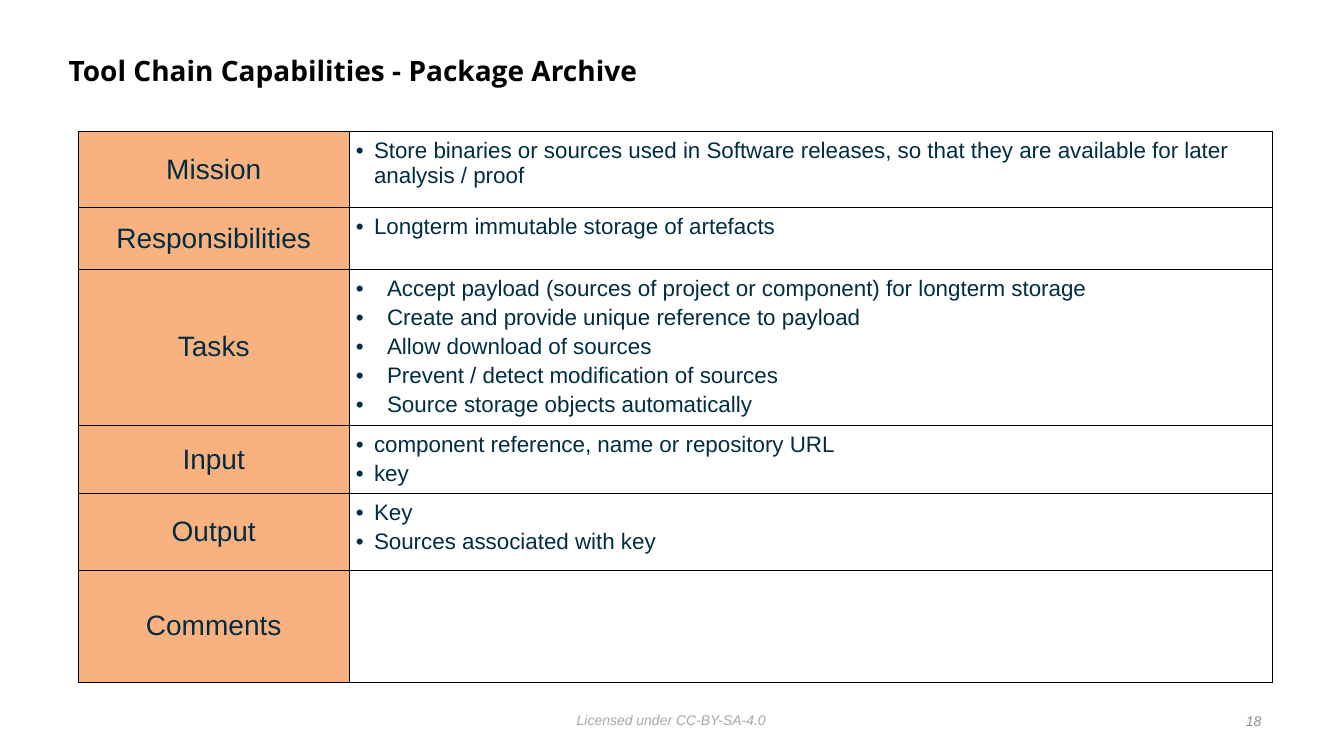
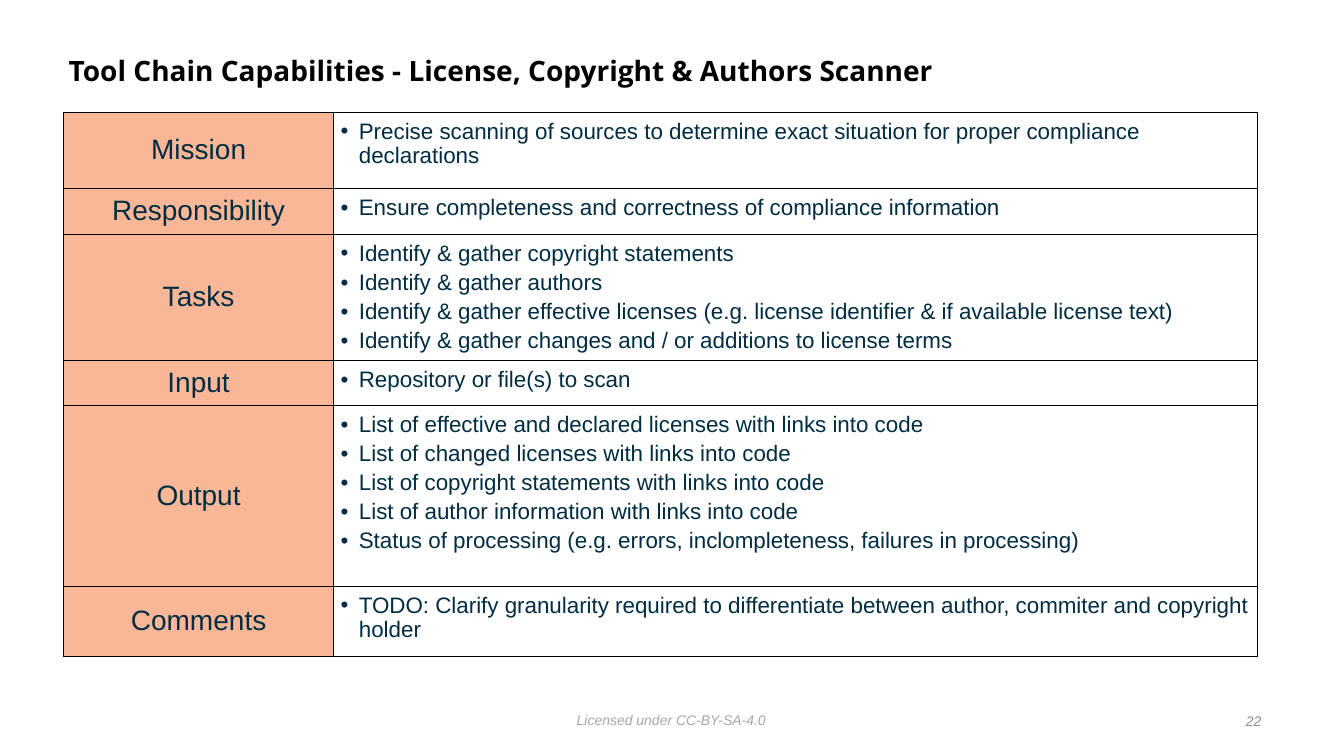
from lxml.etree import SubElement
from pptx import Presentation
from pptx.dml.color import RGBColor
from pptx.enum.text import MSO_ANCHOR, MSO_AUTO_SIZE, PP_ALIGN
from pptx.oxml.ns import qn
from pptx.util import Inches, Pt

COLORS = {
    "title": "000000",
    "text": "002D41",
    "border": "000000",
    "orange": "F66503",
    "peach": "FAB798",
    "footer": "A7A7A7",
    "number": "888C91",
}
TITLE_FONT = {"name": "Open Sans", "size": Pt(20), "bold": True}
LABEL_FONT = {"name": "Arial", "size": Pt(20)}
BULLET_FONT = {"name": "Arial", "size": Pt(16)}
FOOTER_FONT = {"name": "Arial", "size": Pt(10), "italic": True}
COLUMN_WIDTHS = (2.68, 9.16)
HANGING = 0.18
WIDE_HANGING = 0.31

# Each row: label, height, bullet indent, bullets
SLIDES = [
    {
        "title": "Tool Chain Capabilities - Package Archive",
        "number": "18",
        "position": (0.78, 1.3),
        "label_fill": ("orange", 50),
        "rows": [
            ("Mission", 0.76, HANGING, [
                "Store binaries or sources used in Software releases, so that "
                "they are available for later analysis / proof"]),
            ("Responsibilities", 0.61, HANGING, [
                "Longterm immutable storage of artefacts"]),
            ("Tasks", 1.55, WIDE_HANGING, [
                "Accept payload (sources of project or component) for longterm storage",
                "Create and provide unique reference to payload",
                "Allow download of sources",
                "Prevent / detect modification of sources",
                "Source storage objects automatically"]),
            ("Input", 0.67, HANGING, [
                "component reference, name or repository URL",
                "key"]),
            ("Output", 0.76, HANGING, [
                "Key",
                "Sources associated with key"]),
            ("Comments", 1.11, HANGING, []),
        ],
    },
    {
        "title": "Tool Chain Capabilities - License, Copyright & Authors Scanner",
        "number": "22",
        "position": (0.63, 1.11),
        "label_fill": ("peach", 100),
        "rows": [
            ("Mission", 0.76, HANGING, [
                "Precise scanning of sources to determine exact situation for "
                "proper compliance declarations"]),
            ("Responsibility", 0.45, HANGING, [
                "Ensure completeness and correctness of compliance information"]),
            ("Tasks", 1.25, HANGING, [
                "Identify & gather copyright statements",
                "Identify & gather authors",
                "Identify & gather effective licenses (e.g. license identifier "
                "& if available license text)",
                "Identify & gather changes and / or additions to license terms"]),
            ("Input", 0.45, HANGING, ["Repository or file(s) to scan"]),
            ("Output", 1.79, HANGING, [
                "List of effective and declared licenses with links into code",
                "List of changed licenses with links into code",
                "List of copyright statements with links into code",
                "List of author information with links into code",
                "Status of processing (e.g. errors, inclompleteness, failures "
                "in processing)"]),
            ("Comments", 0.7, HANGING, [
                "TODO: Clarify granularity required to differentiate between "
                "author, commiter and copyright holder"]),
        ],
    },
]


def apply_format(target, values):
    for name, value in values.items():
        setattr(target, name, value)


def format_font(paragraph, values, color):
    apply_format(paragraph.font, values)
    paragraph.font.color.rgb = RGBColor.from_string(COLORS[color])


def set_margins(target, inches):
    sides = ("margin_left", "margin_top", "margin_right", "margin_bottom")
    apply_format(target, dict.fromkeys(sides, Inches(inches)))


# Title and footer
def add_title(slide, text):
    title = slide.shapes.title
    apply_format(title, {"left": Inches(0.63), "top": Inches(0.39),
                         "width": Inches(10.75), "height": Inches(0.65)})
    frame = title.text_frame
    set_margins(frame, 0.05)
    apply_format(frame, {"text": text, "word_wrap": True,
                         "auto_size": MSO_AUTO_SIZE.NONE,
                         "vertical_anchor": MSO_ANCHOR.MIDDLE})
    paragraph = frame.paragraphs[0]
    apply_format(paragraph, {"alignment": PP_ALIGN.LEFT, "line_spacing": 0.9})
    format_font(paragraph, TITLE_FONT, "title")


def add_footer_text(slide, text, box, color, alignment, anchor):
    frame = slide.shapes.add_textbox(*map(Inches, box)).text_frame
    set_margins(frame, 0.05)
    apply_format(frame, {"text": text, "word_wrap": False,
                         "auto_size": MSO_AUTO_SIZE.SHAPE_TO_FIT_TEXT,
                         "vertical_anchor": anchor})
    paragraph = frame.paragraphs[0]
    paragraph.alignment = alignment
    format_font(paragraph, FOOTER_FONT, color)


def add_footer(slide, number):
    add_footer_text(slide, "Licensed under CC-BY-SA-4.0", (5.67, 7.01, 1.99, 0.25),
                    "footer", PP_ALIGN.LEFT, MSO_ANCHOR.TOP)
    add_footer_text(slide, number, (12.26, 7.03, 0.3, 0.25),
                    "number", PP_ALIGN.RIGHT, MSO_ANCHOR.MIDDLE)


# Table cells
def add_borders(cell):
    properties = cell._tc.get_or_add_tcPr()
    for side in ("a:lnL", "a:lnR", "a:lnT", "a:lnB"):
        line = SubElement(properties, qn(side), w=str(Pt(0.5)))
        fill = SubElement(line, qn("a:solidFill"))
        SubElement(fill, qn("a:srgbClr"), val=COLORS["border"])


def fill_cell(cell, color, opacity):
    cell.fill.solid()
    cell.fill.fore_color.rgb = RGBColor.from_string(COLORS[color])
    if opacity < 100:
        fill = cell._tc.tcPr.find(qn("a:solidFill"))
        SubElement(fill.find(qn("a:srgbClr")), qn("a:alpha"), val=str(opacity * 1000))


def write_label(cell, text, label_fill):
    add_borders(cell)
    fill_cell(cell, *label_fill)
    set_margins(cell, 0)
    apply_format(cell, {"text": text, "vertical_anchor": MSO_ANCHOR.MIDDLE})
    paragraph = cell.text_frame.paragraphs[0]
    paragraph.alignment = PP_ALIGN.CENTER
    format_font(paragraph, LABEL_FONT, "text")


def add_bullet(paragraph, indent):
    properties = paragraph._p.get_or_add_pPr()
    properties.set("marL", str(Inches(indent)))
    properties.set("indent", str(-Inches(indent)))
    SubElement(properties, qn("a:buFont"), typeface="Arial")
    SubElement(properties, qn("a:buChar"), char="•")


def write_bullets(cell, bullets, indent):
    add_borders(cell)
    cell.fill.background()
    set_margins(cell, 0.07)
    if not bullets:
        return
    cell.text = "\n".join(bullets)
    for index, paragraph in enumerate(cell.text_frame.paragraphs):
        add_bullet(paragraph, indent)
        if index:
            paragraph.space_before = Pt(3)
        format_font(paragraph, BULLET_FONT, "text")


def add_capability_table(slide, position, rows, label_fill):
    width = sum(COLUMN_WIDTHS)
    height = sum(row[1] for row in rows)
    table = slide.shapes.add_table(len(rows), len(COLUMN_WIDTHS),
                                   *map(Inches, (*position, width, height))).table
    apply_format(table, {"first_row": False, "horz_banding": False})
    for column, column_width in zip(table.columns, COLUMN_WIDTHS):
        column.width = Inches(column_width)
    for index, (label, row_height, indent, bullets) in enumerate(rows):
        table.rows[index].height = Inches(row_height)
        write_label(table.cell(index, 0), label, label_fill)
        write_bullets(table.cell(index, 1), bullets, indent)


def main():
    presentation = Presentation()
    presentation.slide_width = Inches(13.33)
    presentation.slide_height = Inches(7.5)
    title_only = presentation.slide_layouts[5]
    for content in SLIDES:
        slide = presentation.slides.add_slide(title_only)
        add_title(slide, content["title"])
        add_capability_table(slide, content["position"], content["rows"],
                             content["label_fill"])
        add_footer(slide, content["number"])
    presentation.save("out.pptx")


if __name__ == "__main__":
    main()
